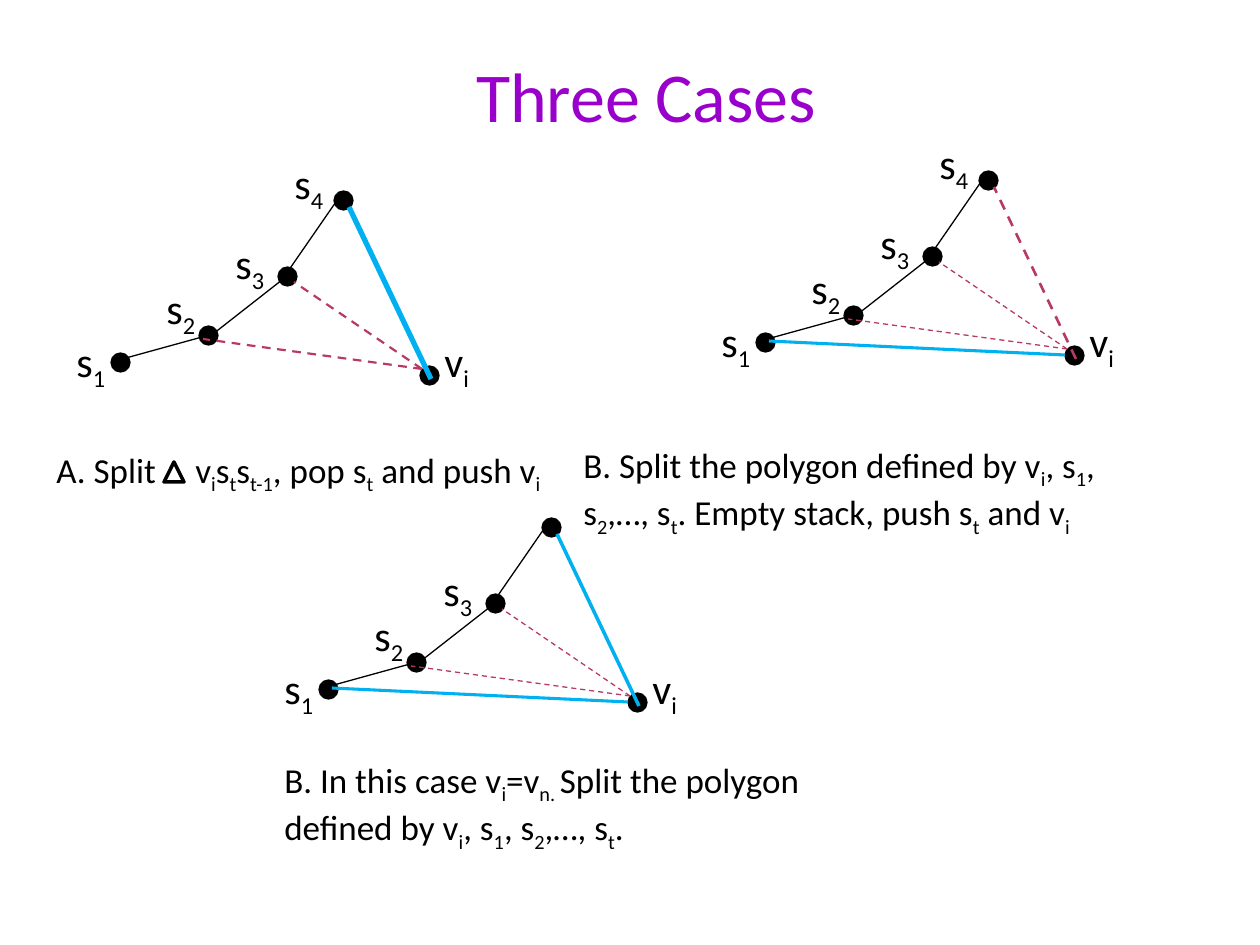
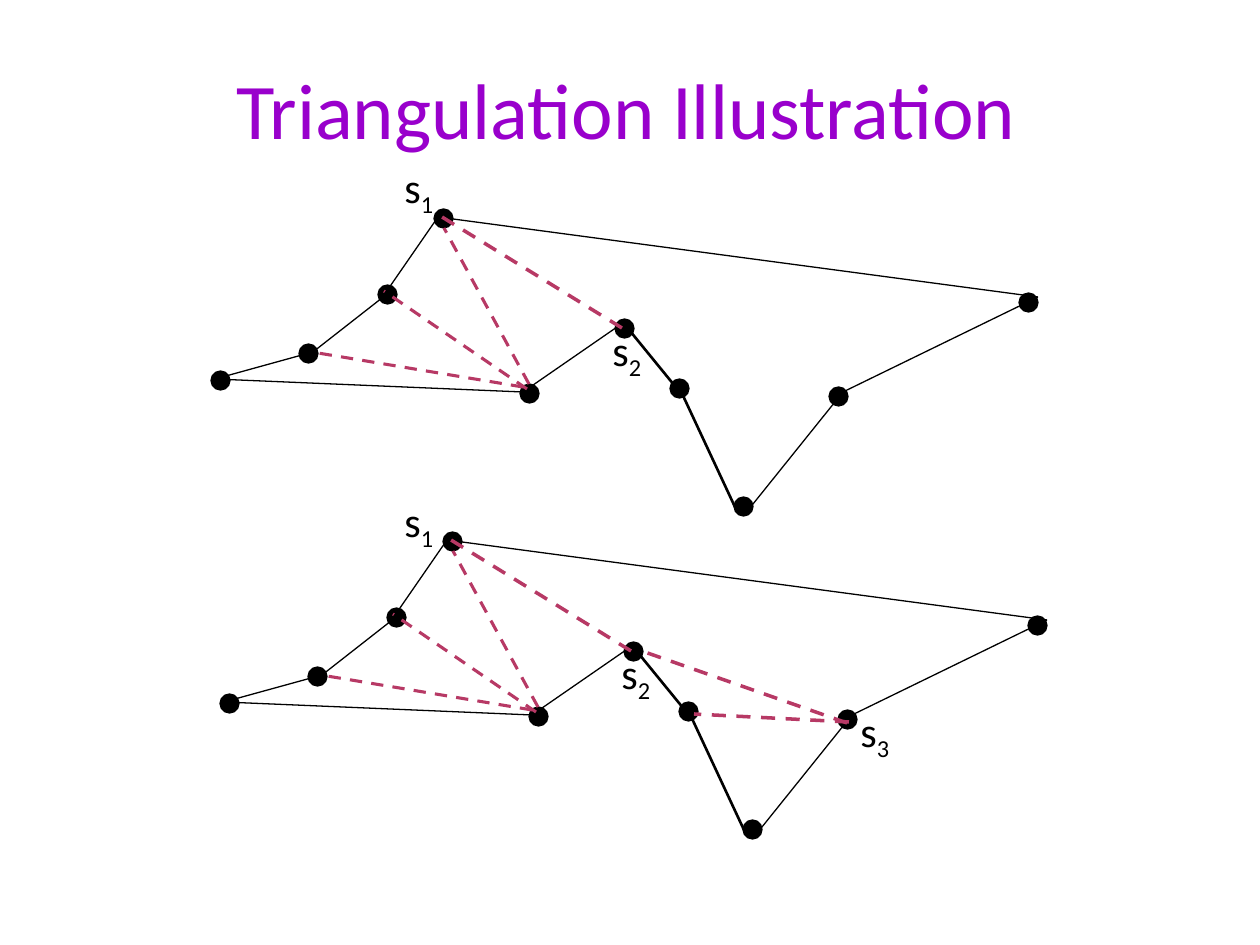
from lxml import etree
from pptx import Presentation
from pptx import util as u
from pptx.dml.color import RGBColor
from pptx.enum import dml, shapes, text
from pptx.oxml.ns import qn

PIXEL = 914400 / 126
BLACK, WHITE, PURPLE = "000000", "FFFFFF", "9900CC"
CHAIN_END, DIAGONAL = "00B0F0", "B73965"


def px(value):
    return u.Emu(round(value * PIXEL))


def rgb(value):
    return RGBColor.from_string(value)


class Deck:
    font = "Calibri"
    dot_size = 19

    def __init__(self):
        self.presentation = Presentation()
        self.presentation.slide_width = u.Inches(10)
        self.presentation.slide_height = u.Inches(7.5)

    def add_slide(self, title, left, top, size):
        slide = self.presentation.slides.add_slide(self.presentation.slide_layouts[5])
        self.slide, self.shapes = slide, slide.shapes
        shape = slide.shapes.title
        shape.left, shape.top, shape.width, shape.height = map(px, (left, top, 1144, 100))
        frame = shape.text_frame
        frame.text = title
        frame.word_wrap = True
        frame.auto_size = text.MSO_AUTO_SIZE.NONE
        frame.vertical_anchor = text.MSO_ANCHOR.BOTTOM
        frame.margin_left = frame.margin_right = frame.margin_bottom = 0
        frame.margin_top = u.Inches(0.05)
        paragraph = frame.paragraphs[0]
        paragraph.alignment = text.PP_ALIGN.CENTER
        self.style(paragraph.runs[0], size, PURPLE)

    def start_group(self):
        self.shapes = self.slide.shapes.add_group_shape().shapes

    def style(self, run, size, color=BLACK):
        run.font.name = self.font
        run.font.size = u.Pt(size)
        run.font.color.rgb = rgb(color)

    def text(self, content, left, top, width, height, size):
        """Add a text box; parts between tildes are subscripts."""
        box = self.shapes.add_textbox(px(left), px(top), px(width), px(height))
        frame = box.text_frame
        frame.word_wrap = True
        frame.auto_size = text.MSO_AUTO_SIZE.SHAPE_TO_FIT_TEXT
        paragraph = frame.paragraphs[0]
        paragraph.space_after = u.Pt(10)
        for index, part in enumerate(content.split("~")):
            if not part:
                continue
            run = paragraph.add_run()
            run.text = part
            self.style(run, size)
            if index % 2:
                run.font._element.set("baseline", "-25000")
        return paragraph

    def label(self, content, x, y):
        self.text(content, x, y, 59, 64, 24)

    def caption(self, content, left, top, width, height, tab=None):
        paragraph = self.text(content, left, top, width, height, 20)
        if tab:
            stops = etree.SubElement(paragraph._p.get_or_add_pPr(), qn("a:tabLst"))
            etree.SubElement(stops, qn("a:tab"), pos=str(px(tab)), algn="l")

    def line(self, start, end, color=BLACK, width=0.75, dashed=False):
        connector = self.shapes.add_connector(
            shapes.MSO_CONNECTOR.STRAIGHT, *map(px, (*start, *end)))
        connector.line.color.rgb = rgb(color)
        connector.line.width = u.Pt(width)
        if dashed:
            connector.line.dash_style = dml.MSO_LINE.DASH
        etree.SubElement(connector._element.spPr, qn("a:effectLst"))

    def shape(self, kind, left, top, size, fill, line_width):
        shape = self.shapes.add_shape(kind, px(left), px(top), px(size), px(size))
        shape.shadow.inherit = False
        shape.fill.solid()
        shape.fill.fore_color.rgb = rgb(fill)
        shape.line.color.rgb = rgb(BLACK)
        shape.line.width = u.Pt(line_width)

    def dot(self, x, y):
        self.shape(shapes.MSO_SHAPE.OVAL, x - 9, y - 9, self.dot_size, BLACK, 0.75)


# Geometry relative to the leftmost vertex
FAN_DOTS = [(0, 0), (88, -27), (167, -86), (223, -162), (309, 13)]
CHAIN = [(-5, -1), (93, -28), (162, -82), (218, -163)]
FAN_LABELS = {"s~1~": (-56, -33), "s~2~": (34, -86), "s~3~": (103, -131),
              "s~4~": (162, -211), "v~i~": (312, -33)}
POLYGON_DOTS = FAN_DOTS + [(404, -52), (459, 8), (523, 126), (618, 16), (808, -78)]
TOP_RIGHT = (818, -83)
LOWER_LEFT = [CHAIN[0], (303, 12), (400, -55)]
LOWER_RIGHT = [(525, 134), (623, 12), TOP_RIGHT]
BOLD_EDGES = [((459, 7), (515, 127)), ((410, -49), (459, 11))]
FAN_DIAGONALS = [((303, 7), (98, -27)), ((307, 9), (164, -89)), ((309, 4), (224, -152))]
S1_S2 = ((402, -52), (222, -163))
S3_DIAGONALS = [((620, 19), (465, 11)), ((618, 20), (410, -53))]


def shifted(origin, point):
    return origin[0] + point[0], origin[1] + point[1]


def draw_lines(deck, origin, segments, **style):
    for start, end in segments:
        deck.line(shifted(origin, start), shifted(origin, end), **style)


def draw_path(deck, origin, points):
    draw_lines(deck, origin, zip(points, points[1:]))


def draw_dots(deck, origin, points):
    for point in points:
        deck.dot(*shifted(origin, point))


def draw_case(deck, origin, side, diagonal_width, has_base=True, hidden_label=None):
    draw_path(deck, origin, CHAIN)
    draw_dots(deck, origin, FAN_DOTS)
    for name, point in FAN_LABELS.items():
        if name != hidden_label:
            deck.label(name, *shifted(origin, point))
    draw_lines(deck, origin, [((311, 17), (229, -155))], **side)
    draw_lines(deck, origin, [((302, 7), (174, -80)), ((302, 7), (83, -23))],
               color=DIAGONAL, width=diagonal_width, dashed=True)
    if has_base:
        draw_lines(deck, origin, [((4, -1), (300, 13))], color=CHAIN_END, width=1.75)


def draw_polygon(deck, origin, labels, extra_diagonals=()):
    deck.start_group()
    draw_path(deck, origin, CHAIN + [TOP_RIGHT])
    draw_path(deck, origin, LOWER_LEFT)
    draw_path(deck, origin, LOWER_RIGHT)
    draw_dots(deck, origin, POLYGON_DOTS)
    draw_lines(deck, origin, FAN_DIAGONALS, color=DIAGONAL, width=1.75, dashed=True)
    draw_lines(deck, origin, [S1_S2, *extra_diagonals], color=DIAGONAL, width=2, dashed=True)
    draw_lines(deck, origin, BOLD_EDGES, width=1.5)
    for name, point in labels.items():
        deck.label(name, *shifted(origin, point))


deck = Deck()

# Slide 1: the three cases
deck.add_slide("Three Cases", 74, 37, 40)
draw_case(deck, (120, 362), dict(color=CHAIN_END, width=3), 1.25, has_base=False)
draw_case(deck, (765, 342), dict(color=DIAGONAL, width=1.5, dashed=True), 0.75)
draw_case(deck, (328, 689), dict(color=CHAIN_END, width=2), 0.75, hidden_label="s~4~")
deck.caption("A. Split\tv~i~s~t~s~t-1~, pop s~t~ and push v~i~", 44, 442, 536, 55, tab=139)
deck.shape(shapes.MSO_SHAPE.ISOSCELES_TRIANGLE, 164, 462, 20, WHITE, 2)
deck.caption("B. Split the polygon defined by v~i~, s~1~, s~2~,…, s~t~. "
             "Empty stack, push s~t~ and v~i~", 571, 437, 566, 97)
deck.caption("B. In this case v~i~=v~n. ~Split the polygon defined by "
             "v~i~, s~1~, s~2~,…, s~t~. ", 272, 752, 566, 97)

# Slide 2: two stages of the triangulation
deck.add_slide("Triangulation Illustration", 54, 55, 45)
draw_polygon(deck, (220, 380), {"s~1~": (172, -225), "s~2~": (380, -62)})
draw_polygon(deck, (229, 703),
             {"s~1~": (163, -214), "s~2~": (380, -62), "s~3~": (619, -4)}, S3_DIAGONALS)

deck.presentation.save("out.pptx")
